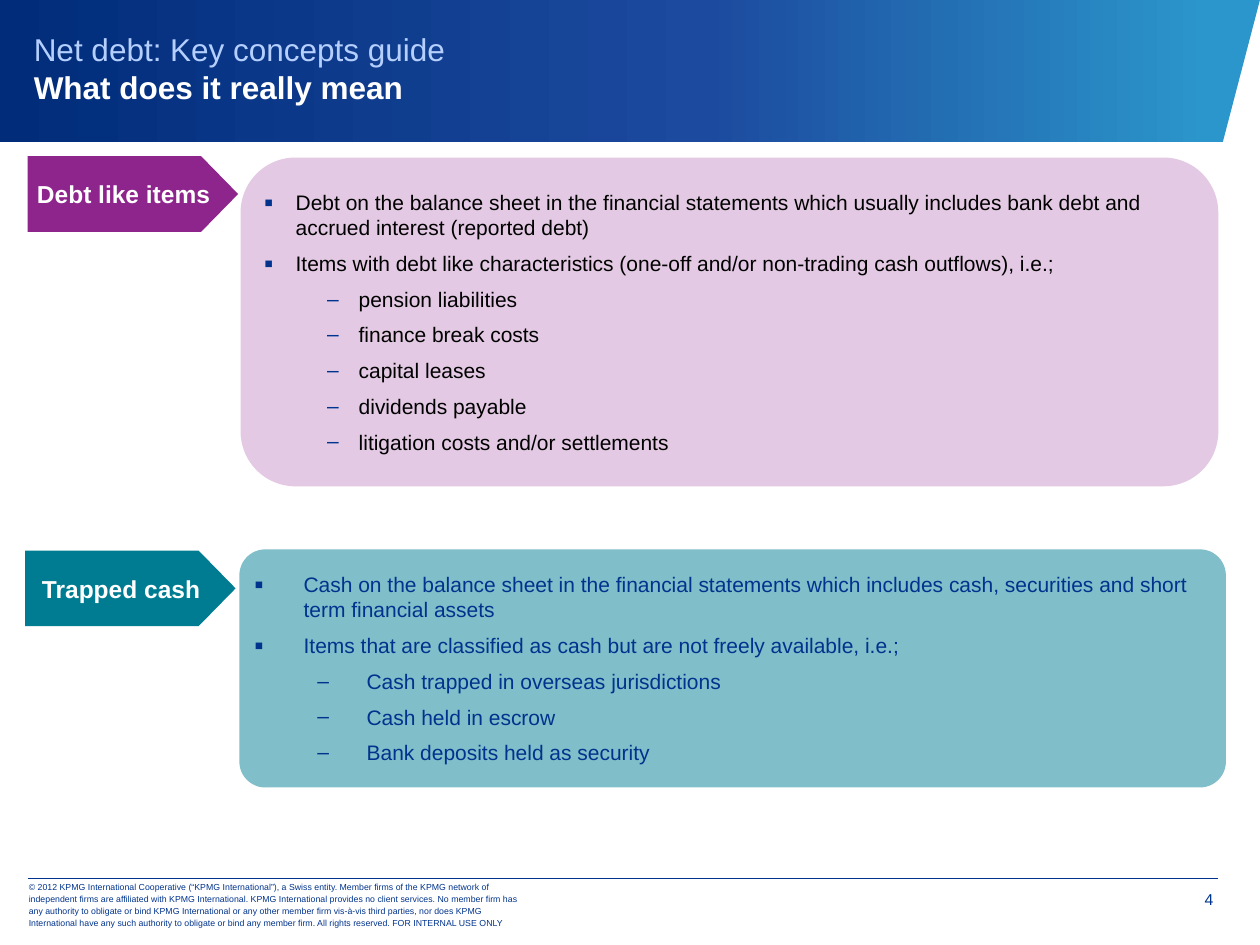
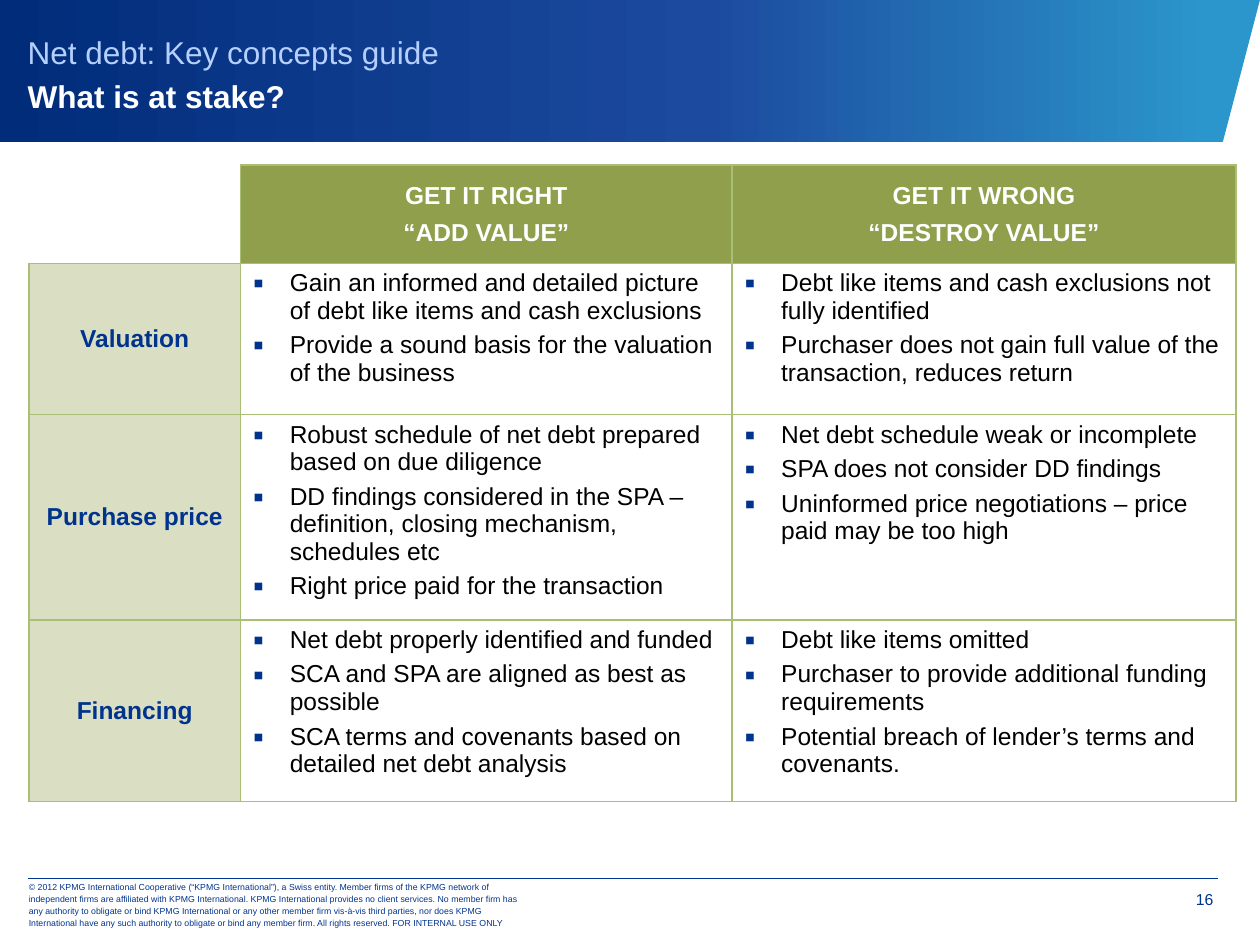
from copy import deepcopy

from lxml import etree
from pptx import Presentation
from pptx.dml.color import RGBColor
from pptx.enum.shapes import MSO_CONNECTOR, MSO_SHAPE
from pptx.enum.text import MSO_ANCHOR, PP_ALIGN
from pptx.oxml.ns import qn
from pptx.util import Emu, Inches, Pt

ROUND, ARROW = MSO_SHAPE.ROUNDED_RECTANGLE, MSO_SHAPE.PENTAGON
STRAIGHT = MSO_CONNECTOR.STRAIGHT
TOP, MIDDLE = MSO_ANCHOR.TOP, MSO_ANCHOR.MIDDLE
LEFT, CENTER, RIGHT = PP_ALIGN.LEFT, PP_ALIGN.CENTER, PP_ALIGN.RIGHT

COLORS = {
    "navy": "00338D", "pale": "B5D0FF", "white": "FFFFFF", "black": "000000",
    "sky": "2B96CB", "royal": "1C4A9E", "deep": "002C7A",
    "plum": "8E258D", "pink": "E3C9E3", "teal": "007C92", "aqua": "80BEC9",
    "olive": "8F9F4C", "sage": "DADFC3", "rule": "AABE75",
}
FONT = "Arial"
UNIT = Inches(0.1)  # the grid has 100 columns and 75 rows
SERIES = "Net debt: Key concepts guide"
LEGAL = (
    "© 2012 KPMG International Cooperative (“KPMG International”), a Swiss entity. "
    "Member firms of the KPMG network of independent firms are affiliated with KPMG "
    "International. KPMG International provides no client services. No member firm has "
    "any authority to obligate or bind KPMG International or any other member firm "
    "vis-à-vis third parties, nor does KPMG International have any such authority to "
    "obligate or bind any member firm. All rights reserved. FOR INTERNAL USE ONLY"
)


def grid(*cells):
    return [Emu(round(cell * UNIT)) for cell in cells]


def rgb(name):
    return RGBColor.from_string(COLORS[name])


class Deck:
    def __init__(self):
        self.file = Presentation()
        self.file.slide_width, self.file.slide_height = grid(100, 75)

    def page(self, head, number, box, inset=0.1, pitch=None):
        self.slide = self.file.slides.add_slide(self.file.slide_layouts[6])
        self.shapes = self.slide.shapes
        self.band()
        self.rule(2.2, 69.7, 96.7)
        para = self.text((1.3, 70, 41.5, 3.5), MIDDLE)
        para.line_spacing = Pt(7)
        self.run(para, LEGAL, 5, "navy")
        para = self.text((90.8, 69.8, 5.5, 3.1), TOP, (0.08, 0.08, 0, 0))
        para.alignment = RIGHT
        self.run(para, str(number), 9, "navy")
        # Two-line title
        para = self.text(box, MIDDLE, (inset,) * 4)
        if pitch:
            para.line_spacing = Pt(pitch)
        self.run(para, SERIES, 18, "pale")
        para.add_line_break()
        self.run(para, head, 18, "white", True)

    def band(self):
        pen = self.shapes.build_freeform(*grid(0, 0))
        pen.add_line_segments([grid(*spot) for spot in
                               ((100, 0), (97.05, 11.3), (0, 11.3))])
        shape = pen.convert_to_shape()
        self.plain(shape)
        shape.fill.gradient()
        shape.fill.gradient_angle = 180
        stops = shape._element.spPr.find(".//" + qn("a:gsLst"))
        stops.append(deepcopy(stops[-1]))
        marks = ((0.04, "sky"), (0.44, "royal"), (1, "deep"))
        for stop, (place, color) in zip(shape.fill.gradient_stops, marks):
            stop.position = place
            stop.color.rgb = rgb(color)

    def plain(self, shape):
        shape.shadow.inherit = False
        shape.line.fill.background()

    def rule(self, start, row, end):
        line = self.shapes.add_connector(STRAIGHT, *grid(start, row, end, row))
        line.line.color.rgb = rgb("navy")
        line.line.width = Pt(0.25)
        etree.SubElement(line._element.spPr, qn("a:effectLst"))

    def frame(self, frame, anchor, inset):
        frame.word_wrap = True
        frame.vertical_anchor = anchor
        (frame.margin_left, frame.margin_top,
         frame.margin_right, frame.margin_bottom) = map(Inches, inset)
        return frame.paragraphs[0]

    def text(self, box, anchor, inset=(0.1, 0.05, 0.1, 0.05)):
        shape = self.shapes.add_textbox(*grid(*box))
        return self.frame(shape.text_frame, anchor, inset)

    def run(self, para, words, size, color, bold=False):
        run = para.add_run()
        run.text = words
        font = run.font
        font.name, font.size, font.bold = FONT, Pt(size), bold
        font.color.rgb = rgb(color)

    def shape(self, kind, box, color, adjust):
        shape = self.shapes.add_shape(kind, *grid(*box))
        self.plain(shape)
        shape.fill.solid()
        shape.fill.fore_color.rgb = rgb(color)
        shape.adjustments[0] = adjust
        return self.frame(shape.text_frame, MIDDLE, (0.06,) * 4), shape.text_frame

    def label(self, col, row, words, color):
        para, _ = self.shape(ARROW, (col, row, 16.7, 6), color, 0.489)
        para.alignment = CENTER
        self.run(para, words, 14, "white", True)

    def panel(self, box, fill, ink, adjust, hang, items):
        _, frame = self.shape(ROUND, box, fill, adjust)
        self.items(frame, items, 12, ink, hang, 3, 3)

    def items(self, frame, items, size, ink, hang, before, after=0):
        for index, (level, words) in enumerate(items):
            para = frame.add_paragraph() if index else frame.paragraphs[0]
            para.alignment = LEFT
            para.space_before = Pt(before if index else 0)
            para.space_after = Pt(after)
            self.bullet(para, level, hang)
            self.run(para, words, size, ink)

    def bullet(self, para, level, hang):
        props = para._p.get_or_add_pPr()
        props.set("marL", str(Inches(hang + level * 0.5)))
        props.set("indent", str(-Inches(hang)))
        tint = etree.SubElement(props, qn("a:buClr"))
        etree.SubElement(tint, qn("a:srgbClr"), val=COLORS["navy"])
        etree.SubElement(props, qn("a:buSzPct"), val="100000" if level else "125000")
        etree.SubElement(props, qn("a:buFont"), typeface=FONT)
        etree.SubElement(props, qn("a:buChar"), char="–" if level else "▪")

    def table(self, box, widths, heights, heads, rows):
        table = self.shapes.add_table(len(heights), len(widths), *grid(*box)).table
        table.first_row = table.horz_banding = False
        for col, width in zip(table.columns, grid(*widths)):
            col.width = width
        for row, height in zip(table.rows, grid(*heights)):
            row.height = height
        self.cell(table.cell(0, 0), None, "RB")
        for col, lines in enumerate(heads, 1):
            self.names(table.cell(0, col), lines, "olive", "white", 16)
        for index, (name, *lists) in enumerate(rows, 1):
            self.names(table.cell(index, 0), [name], "sage", "navy")
            for col, points in enumerate(lists, 1):
                cell = table.cell(index, col)
                self.cell(cell)
                self.items(cell.text_frame, [(0, point) for point in points],
                           14, "black", 0.29, 4)

    def names(self, cell, lines, fill, ink, pitch=None):
        self.cell(cell, fill)
        cell.vertical_anchor = MIDDLE
        for index, words in enumerate(lines):
            para = cell.text_frame.add_paragraph() if index else cell.text_frame.paragraphs[0]
            para.alignment = CENTER
            para.space_before = Pt(5.6 if index else 0)
            if pitch:
                para.line_spacing = Pt(pitch)
            self.run(para, words, 14, ink, True)

    def cell(self, cell, fill=None, sides="LRTB"):
        props = cell._tc.get_or_add_tcPr()
        for side in sides:
            line = etree.SubElement(props, qn("a:ln" + side), w=str(Pt(1)))
            solid = etree.SubElement(line, qn("a:solidFill"))
            etree.SubElement(solid, qn("a:srgbClr"), val=COLORS["rule"])
        if fill:
            cell.fill.solid()
            cell.fill.fore_color.rgb = rgb(fill)
        else:
            cell.fill.background()


def main():
    deck = Deck()

    # Meaning of net debt
    deck.page("What does it really mean", 4, (1.7, 0, 98.3, 10.8))
    deck.panel((19.1, 12.5, 77.6, 26.1), "pink", "black", 0.167, 0.25, [
        (0, "Debt on the balance sheet in the financial statements which usually "
            "includes bank debt and accrued interest (reported debt)"),
        (0, "Items with debt like characteristics (one-off and/or non-trading "
            "cash outflows), i.e.;"),
        (1, "pension liabilities"),
        (1, "finance break costs"),
        (1, "capital leases"),
        (1, "dividends payable"),
        (1, "litigation costs and/or settlements"),
    ])
    deck.label(2.2, 12.4, "Debt like items", "plum")
    deck.panel((19, 43.6, 78.3, 18.9), "aqua", "navy", 0.109, 0.39, [
        (0, "Cash on the balance sheet in the financial statements which includes "
            "cash, securities and short term financial assets"),
        (0, "Items that are classified as cash but are not freely available, i.e.;"),
        (1, "Cash trapped in overseas jurisdictions"),
        (1, "Cash held in escrow"),
        (1, "Bank deposits held as security"),
    ])
    deck.label(2, 43.7, "Trapped cash", "teal")

    # Stakes table
    deck.page("What is at stake?", 16, (2.2, 1.3, 93.5, 8.7), 0, 25)
    heads = [("GET IT RIGHT", "“ADD VALUE”"), ("GET IT WRONG", "“DESTROY VALUE”")]
    rows = [
        ("Valuation",
         ["Gain an informed and detailed picture of debt like items and cash exclusions",
          "Provide a sound basis for the valuation of the business"],
         ["Debt like items and cash exclusions not fully identified",
          "Purchaser does not gain full value of the transaction, reduces return"]),
        ("Purchase price",
         ["Robust schedule of net debt prepared based on due diligence",
          "DD findings considered in the SPA – definition, closing mechanism, schedules etc",
          "Right price paid for the transaction"],
         ["Net debt schedule weak or incomplete",
          "SPA does not consider DD findings",
          "Uninformed price negotiations – price paid may be too high"]),
        ("Financing",
         ["Net debt properly identified and funded",
          "SCA and SPA are aligned as best as possible",
          "SCA terms and covenants based on detailed net debt analysis"],
         ["Debt like items omitted",
          "Purchaser to provide additional funding requirements",
          "Potential breach of lender’s terms and covenants."]),
    ]
    deck.table((2.3, 13.1, 95.8, 50.5), (16.8, 39, 40), (7.8, 12, 16.3, 14.4), heads, rows)

    deck.file.save("out.pptx")


if __name__ == "__main__":
    main()
